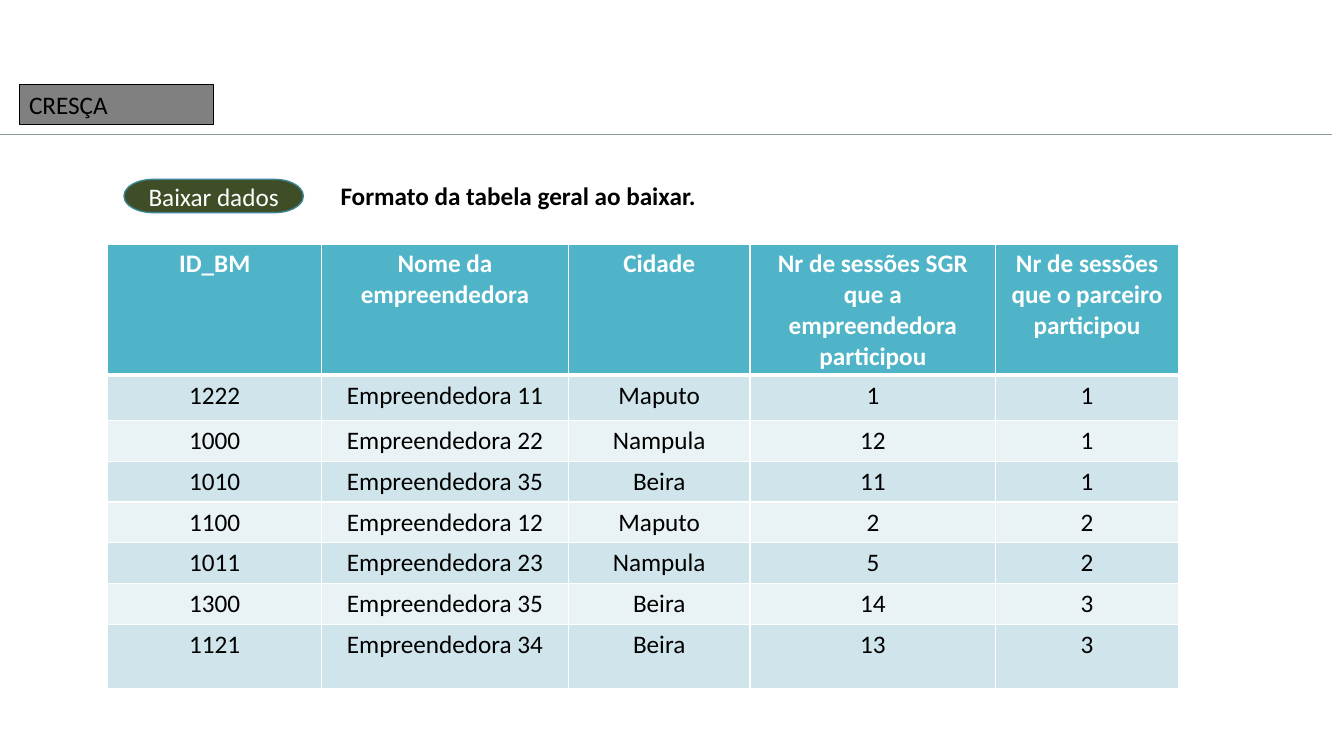
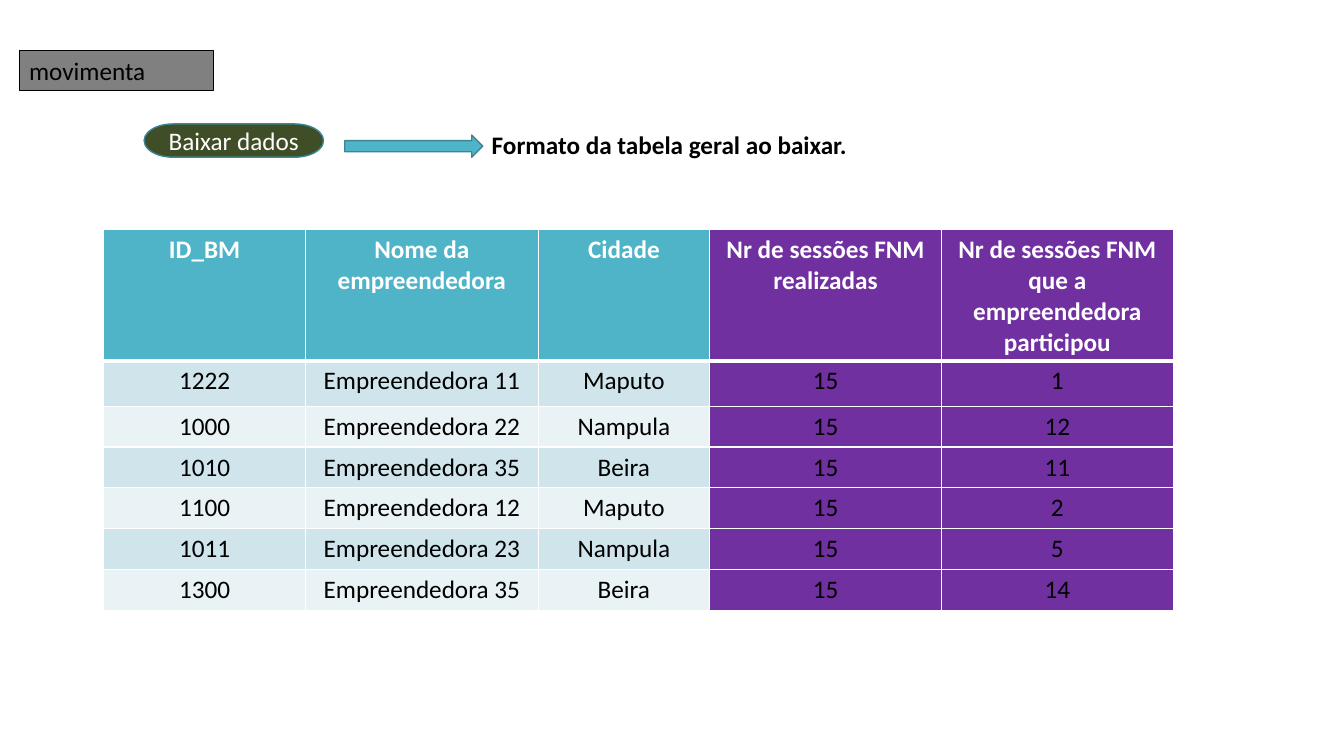
from dataclasses import dataclass

from lxml.etree import SubElement
from pptx import Presentation
from pptx.dml.color import RGBColor
from pptx.enum.shapes import MSO_CONNECTOR, MSO_SHAPE
from pptx.enum.text import MSO_ANCHOR, PP_ALIGN
from pptx.oxml.ns import qn
from pptx.util import Inches, Pt


@dataclass(frozen=True)
class Theme:
    font: str = "Calibri"
    size: float = 18
    thin: float = 0.75
    edge: float = 1
    heavy: float = 3
    ink: str = "000000"
    paper: str = "FFFFFF"
    grey: str = "808080"
    mist: str = "8C9C9F"
    teal: str = "50B4C8"
    deep: str = "3B8594"
    olive: str = "3F4E26"
    purple: str = "7030A0"
    bands: tuple = ("D0E5EB", "E9F2F5")


THEME = Theme()
CELLS = 10  # grid cells to the inch, across and down
WIDE, HIGH = 133.33, 75

HEAD, FIRST, ROW, LAST = 13, 4.5, 4.05, 6.4
BASE = ["ID_BM", "Nome da empreendedora", "Cidade"]
# ID, number in the name, city, sessions attended, partner sessions
PEOPLE = [
    (1222, 11, "Maputo", 1, 1),
    (1000, 22, "Nampula", 12, 1),
    (1010, 35, "Beira", 11, 1),
    (1100, 12, "Maputo", 2, 2),
    (1011, 23, "Nampula", 5, 2),
    (1300, 35, "Beira", 14, 3),
    (1121, 34, "Beira", 13, 3),
]
HELD = 15


def grid(*cells):
    return [Inches(n / CELLS) for n in cells]


def color(name):
    return RGBColor.from_string(name)


def write(frame, text, ink, bold=False, align=PP_ALIGN.LEFT):
    frame.text = text
    para = frame.paragraphs[0]
    para.alignment = align
    font = para.font
    font.name, font.size, font.bold = THEME.font, Pt(THEME.size), bold
    font.color.rgb = color(ink)


def stroke(line, ink, width):
    line.color.rgb = color(ink)
    line.width = Pt(width)


def shape(slide, kind, box, fill, edge, width):
    item = slide.shapes.add_shape(kind, *grid(*box))
    item.shadow.inherit = False
    item.fill.solid()
    item.fill.fore_color.rgb = color(fill)
    stroke(item.line, edge, width)
    return item


def tag(slide, text, top):
    """Grey section label at the left edge."""
    item = shape(slide, MSO_SHAPE.RECTANGLE, (1.9, top, 19.3, 4),
                 THEME.grey, THEME.ink, THEME.thin)
    frame = item.text_frame
    frame.word_wrap = True
    frame.vertical_anchor = MSO_ANCHOR.TOP
    write(frame, text, THEME.ink)


def button(slide, left, top):
    item = shape(slide, MSO_SHAPE.FLOWCHART_TERMINATOR, (left, top, 17.8, 3.3),
                 THEME.olive, THEME.deep, THEME.edge)
    frame = item.text_frame
    frame.word_wrap = True
    frame.vertical_anchor = MSO_ANCHOR.MIDDLE
    write(frame, "Baixar dados", THEME.paper, align=PP_ALIGN.CENTER)


def caption(slide, left, top):
    frame = slide.shapes.add_textbox(*grid(left, top, 43, 4)).text_frame
    frame.word_wrap = True
    write(frame, "Formato da tabela geral ao baixar.", THEME.ink, bold=True)


def arrow(slide, box):
    shape(slide, MSO_SHAPE.RIGHT_ARROW, box, THEME.teal, THEME.deep, THEME.edge)


def rule(slide, top):
    line = slide.shapes.add_connector(
        MSO_CONNECTOR.STRAIGHT, *grid(-0.4, top, 132.1, top))
    stroke(line.line, THEME.mist, THEME.thin)
    SubElement(line._element.spPr, qn("a:effectLst"))


def border(cell, **widths):
    """Draw white cell edges; widths are keyed L, R, T, B."""
    props = cell._tc.get_or_add_tcPr()
    for side, width in widths.items():
        line = SubElement(props, qn(f"a:ln{side}"), w=str(Pt(width)))
        fill = SubElement(line, qn("a:solidFill"))
        SubElement(fill, qn("a:srgbClr"), val=THEME.paper)


def table(slide, left, top, cols, rows, data, marked=()):
    """Header row over banded rows; marked columns are purple throughout."""
    box = grid(left, top, sum(cols), sum(rows))
    sheet = slide.shapes.add_table(len(rows), len(cols), *box).table
    sheet.first_row = sheet.horz_banding = False
    for col, width in zip(sheet.columns, grid(*cols)):
        col.width = width
    for row, height in zip(sheet.rows, grid(*rows)):
        row.height = height
    for r, values in enumerate(data):
        head = r == 0
        base = THEME.teal if head else THEME.bands[(r - 1) % 2]
        for c, value in enumerate(values):
            cell = sheet.cell(r, c)
            border(cell, L=THEME.edge, R=THEME.edge,
                   T=THEME.heavy if r == 1 else THEME.edge,
                   B=THEME.heavy if head else THEME.edge)
            cell.fill.solid()
            cell.fill.fore_color.rgb = color(
                THEME.purple if c in marked else base)
            write(cell.text_frame, str(value),
                  THEME.paper if head else THEME.ink, head, PP_ALIGN.CENTER)


def person(code, number, city):
    return [code, f"Empreendedora {number}", city]


def grow(slide):
    rule(slide, 13.3)
    tag(slide, "CRESÇA", 8.4)
    button(slide, 12.3, 17.8)
    caption(slide, 32.8, 17.4)
    data = [BASE + ["Nr de sessões SGR que a empreendedora participou",
                    "Nr de sessões que o parceiro participou"]]
    data += [person(*who) + [went, mate] for *who, went, mate in PEOPLE]
    table(slide, 10.7, 24.2, [21.2, 24.5, 18, 24.4, 18.1],
          [HEAD, FIRST] + [ROW] * 5 + [LAST], data)


def move(slide):
    tag(slide, "movimenta", 5)
    button(slide, 14.3, 12.3)
    caption(slide, 47.8, 12.3)
    arrow(slide, (34.2, 13.4, 13.7, 2.2))
    data = [BASE + ["Nr de sessões FNM realizadas",
                    "Nr de sessões FNM que a empreendedora participou"]]
    data += [person(*who) + [HELD, went] for *who, went, _ in PEOPLE[:-1]]
    table(slide, 10.3, 22.8, [20, 23.1, 17, 23, 23],
          [HEAD, FIRST] + [ROW] * 5, data, marked=(3, 4))


def main():
    deck = Presentation()
    deck.slide_width, deck.slide_height = grid(WIDE, HIGH)
    for build in (grow, move):
        build(deck.slides.add_slide(deck.slide_layouts[6]))
    deck.save("out.pptx")


if __name__ == "__main__":
    main()
